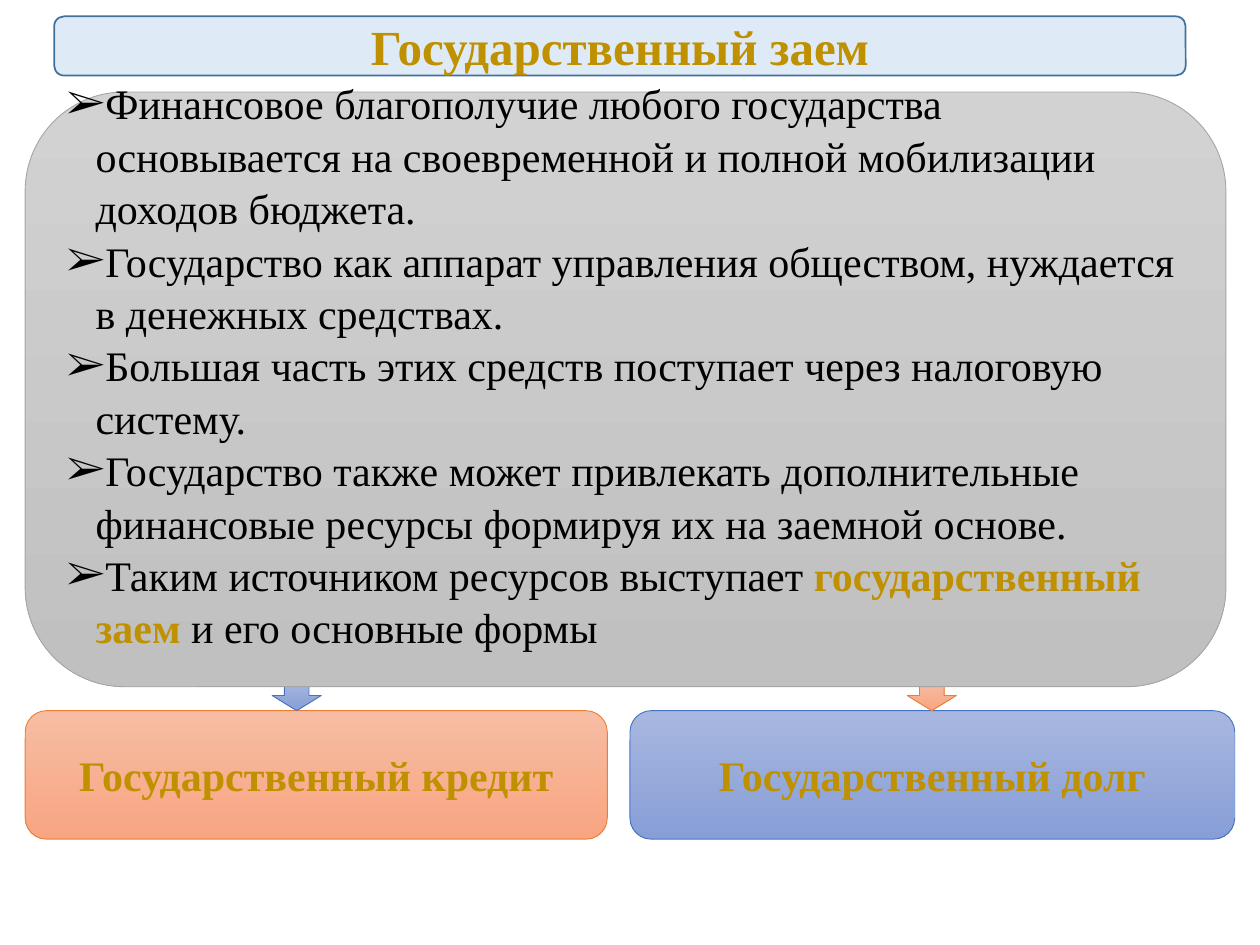
from dataclasses import dataclass

from lxml import etree
from pptx import Presentation
from pptx.dml.color import RGBColor
from pptx.enum.shapes import MSO_SHAPE
from pptx.enum.text import MSO_ANCHOR, MSO_AUTO_SIZE, PP_ALIGN
from pptx.oxml.ns import qn
from pptx.util import Inches, Pt

ROUNDED = MSO_SHAPE.ROUNDED_RECTANGLE
DOWN_ARROW = MSO_SHAPE.DOWN_ARROW
MIDDLE = MSO_ANCHOR.MIDDLE
CENTER = PP_ALIGN.CENTER
LEFT = PP_ALIGN.LEFT
NO_AUTOFIT = MSO_AUTO_SIZE.NONE


@dataclass(frozen=True)
class Theme:
    font: str = "Times New Roman"
    title_size: int = 28
    body_size: int = 24
    text: str = "000000"
    accent: str = "BF9000"
    banner: tuple = ("DEEBF7", "DEEBF7", "41719C")
    gray: tuple = ("D2D2D2", "C0C0C0", "A5A5A5")
    orange: tuple = ("F7BDA4", "F8A581", "ED7D31")
    blue: tuple = ("A8B7DF", "879ED7", "4472C4")


class SlideBuilder:
    def __init__(self, slide, theme):
        self.slide = slide
        self.theme = theme

    def block(self, kind, box, palette, line_width=0.5):
        shape = self.slide.shapes.add_shape(kind, *map(Inches, box))
        shape.shadow.inherit = False
        top, bottom, outline = palette
        if top == bottom:
            shape.fill.solid()
            shape.fill.fore_color.rgb = RGBColor.from_string(top)
        else:
            shape.fill.gradient()
            shape.fill.gradient_angle = 270
            for stop, color in zip(shape.fill.gradient_stops, (top, bottom)):
                stop.color.rgb = RGBColor.from_string(color)
        shape.line.color.rgb = RGBColor.from_string(outline)
        shape.line.width = Pt(line_width)
        return shape

    def frame(self, shape, bottom=0.05):
        frame = shape.text_frame
        frame.word_wrap = True
        frame.auto_size = NO_AUTOFIT
        frame.vertical_anchor = MIDDLE
        frame.margin_left = frame.margin_right = Inches(0.1)
        frame.margin_top = Inches(0.05)
        frame.margin_bottom = Inches(bottom)
        return frame

    def run(self, paragraph, text, size, highlighted=False):
        run = paragraph.add_run()
        run.text = text
        run.font.name = self.theme.font
        run.font.size = Pt(size)
        run.font.bold = highlighted
        color = self.theme.accent if highlighted else self.theme.text
        run.font.color.rgb = RGBColor.from_string(color)

    def heading(self, shape, text, size):
        paragraph = self.frame(shape).paragraphs[0]
        paragraph.alignment = CENTER
        paragraph.line_spacing = 1.0
        self.run(paragraph, text, size, True)

    def title(self, text, box):
        self.block(ROUNDED, box, self.theme.banner, 1)
        title = self.slide.shapes.title
        title.left, title.top, title.width, title.height = map(Inches, box)
        self.heading(title, text, self.theme.title_size)
        self.slide.shapes.element.append(title.element)

    def card(self, text, box, palette):
        card = self.block(ROUNDED, box, palette)
        self.heading(card, text, self.theme.body_size)

    def bullet_panel(self, items, box):
        panel = self.block(ROUNDED, box, self.theme.gray)
        frame = self.frame(panel, bottom=0.45)
        for index, item in enumerate(items):
            paragraph = frame.add_paragraph() if index else frame.paragraphs[0]
            paragraph.alignment = LEFT
            paragraph.line_spacing = 1.04
            self.bullet(paragraph)
            for text, highlighted in item:
                self.run(paragraph, text, self.theme.body_size, highlighted)

    def bullet(self, paragraph):
        properties = paragraph._p.get_or_add_pPr()
        indent = Inches(0.23)
        properties.set("marL", str(indent))
        properties.set("indent", str(-indent))
        color = etree.SubElement(properties, qn("a:buClr"))
        etree.SubElement(color, qn("a:srgbClr"), val=self.theme.text)
        etree.SubElement(properties, qn("a:buFont"), typeface=self.theme.font)
        etree.SubElement(properties, qn("a:buChar"), char="➢")


def main():
    presentation = Presentation()
    presentation.slide_width = Inches(10)
    presentation.slide_height = Inches(7.5)
    slide = presentation.slides.add_slide(presentation.slide_layouts[5])
    theme = Theme()
    builder = SlideBuilder(slide, theme)

    forms = [
        ("Государственный кредит", 0.2, 4.62, theme.orange, 2.16, theme.blue),
        ("Государственный долг", 5, 4.8, theme.blue, 7.2, theme.orange),
    ]
    for text, left, width, palette, arrow_left, arrow_palette in forms:
        builder.card(text, (left, 5.64, width, 1.02), palette)
        builder.block(DOWN_ARROW, (arrow_left, 5.4, 0.39, 0.24), arrow_palette)

    statements = [
        [("Финансовое благополучие любого государства основывается на "
          "своевременной и полной мобилизации доходов бюджета.", False)],
        [("Государство как аппарат управления обществом, нуждается "
          "в денежных средствах.", False)],
        [("Большая часть этих средств поступает через налоговую систему.", False)],
        [("Государство также может привлекать дополнительные финансовые "
          "ресурсы формируя их на заемной основе.", False)],
        [("Таким источником ресурсов выступает ", False),
         ("государственный заем ", True),
         ("и его основные формы", False)],
    ]
    builder.bullet_panel(statements, (0.2, 0.73, 9.53, 4.72))
    builder.title("Государственный заем", (0.43, 0.13, 8.98, 0.47))
    presentation.save("out.pptx")


if __name__ == "__main__":
    main()
